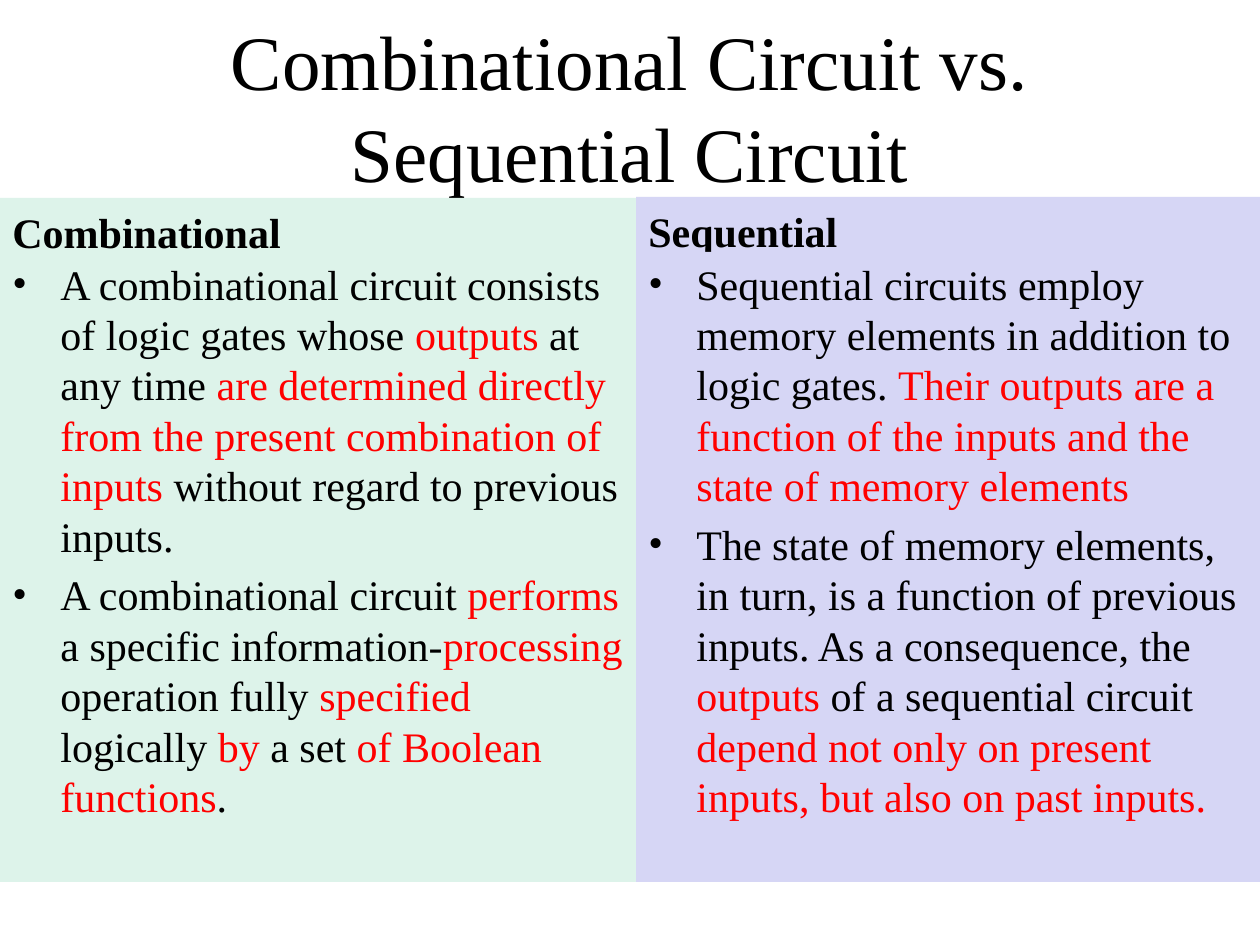
from pptx import Presentation
from pptx import util as u
from pptx.dml.color import RGBColor
from pptx.enum import shapes, text
from pptx.oxml.ns import qn
from lxml import etree

PX = u.Inches(1) // 126
COLORS = {"ink": "000000", "accent": "FF0000", "mint": "DDF3EA", "lavender": "D6D6F5"}
FONT = "Times New Roman"
INDENT = 48 * PX


def write(frame, paragraphs, size=24, bold=False, bullet=False,
          align=text.PP_ALIGN.LEFT, anchor=text.MSO_ANCHOR.TOP):
    """Fill a text frame; words between asterisks take the accent colour."""
    frame.word_wrap = True
    frame.auto_size = text.MSO_AUTO_SIZE.NONE
    frame.vertical_anchor = anchor
    for i, content in enumerate(paragraphs):
        paragraph = frame.add_paragraph() if i else frame.paragraphs[0]
        paragraph.alignment = align
        paragraph.space_before = u.Pt(4.8 if i else 0)
        for j, part in enumerate(content.split("*")):
            if not part:
                continue
            run = paragraph.add_run()
            run.text = part
            run.font.name, run.font.size, run.font.bold = FONT, u.Pt(size), bold
            run.font.color.rgb = RGBColor.from_string(COLORS["accent" if j % 2 else "ink"])
        if bullet:
            props = paragraph._p.get_or_add_pPr()
            props.set("marL", str(INDENT))
            props.set("indent", str(-INDENT))
            color = etree.SubElement(props, qn("a:buClr"))
            etree.SubElement(color, qn("a:srgbClr"), val=COLORS["ink"])
            etree.SubElement(props, qn("a:buFont"), typeface=FONT)
            etree.SubElement(props, qn("a:buChar"), char="•")


prs = Presentation()
prs.slide_width, prs.slide_height = 1260 * PX, 945 * PX
slide = prs.slides.add_slide(prs.slide_layouts[5])

title = slide.shapes.title
title.left, title.top, title.width, title.height = (n * PX for n in (87, 14, 1086, 183))
write(title.text_frame, ["Combinational Circuit vs. Sequential Circuit"], size=44,
      align=text.PP_ALIGN.CENTER, anchor=text.MSO_ANCHOR.MIDDLE)

columns = [
    ("Combinational", "mint", 0, 636, 198, [
        "A combinational circuit consists of logic gates whose *outputs* at any time "
        "*are determined directly from the present combination of inputs* "
        "without regard to previous inputs.",
        "A combinational circuit *performs *a specific information-*processing* operation "
        "fully *specified* logically *by* a set *of Boolean functions*.",
    ]),
    ("Sequential", "lavender", 636, 624, 197, [
        "Sequential circuits employ memory elements in addition to logic gates. "
        "*Their outputs are a function of the inputs and the state of memory elements*",
        "The state of memory elements, in turn, is a function of previous inputs. "
        "As a consequence, the *outputs* of a sequential circuit "
        "*depend not only on present inputs, but also on past inputs.*",
    ]),
]

for heading, fill, left, width, heading_top, points in columns:
    panels = [
        (heading_top, 65, [heading], dict(bold=True, anchor=text.MSO_ANCHOR.BOTTOM)),
        (252, 630, points, dict(bullet=True)),
    ]
    for top, height, paragraphs, style in panels:
        panel = slide.shapes.add_shape(shapes.MSO_SHAPE.RECTANGLE,
                                       left * PX, top * PX, width * PX, height * PX)
        panel.shadow.inherit = False
        panel.fill.solid()
        panel.fill.fore_color.rgb = RGBColor.from_string(COLORS[fill])
        panel.line.fill.background()
        write(panel.text_frame, paragraphs, **style)

prs.save("out.pptx")
